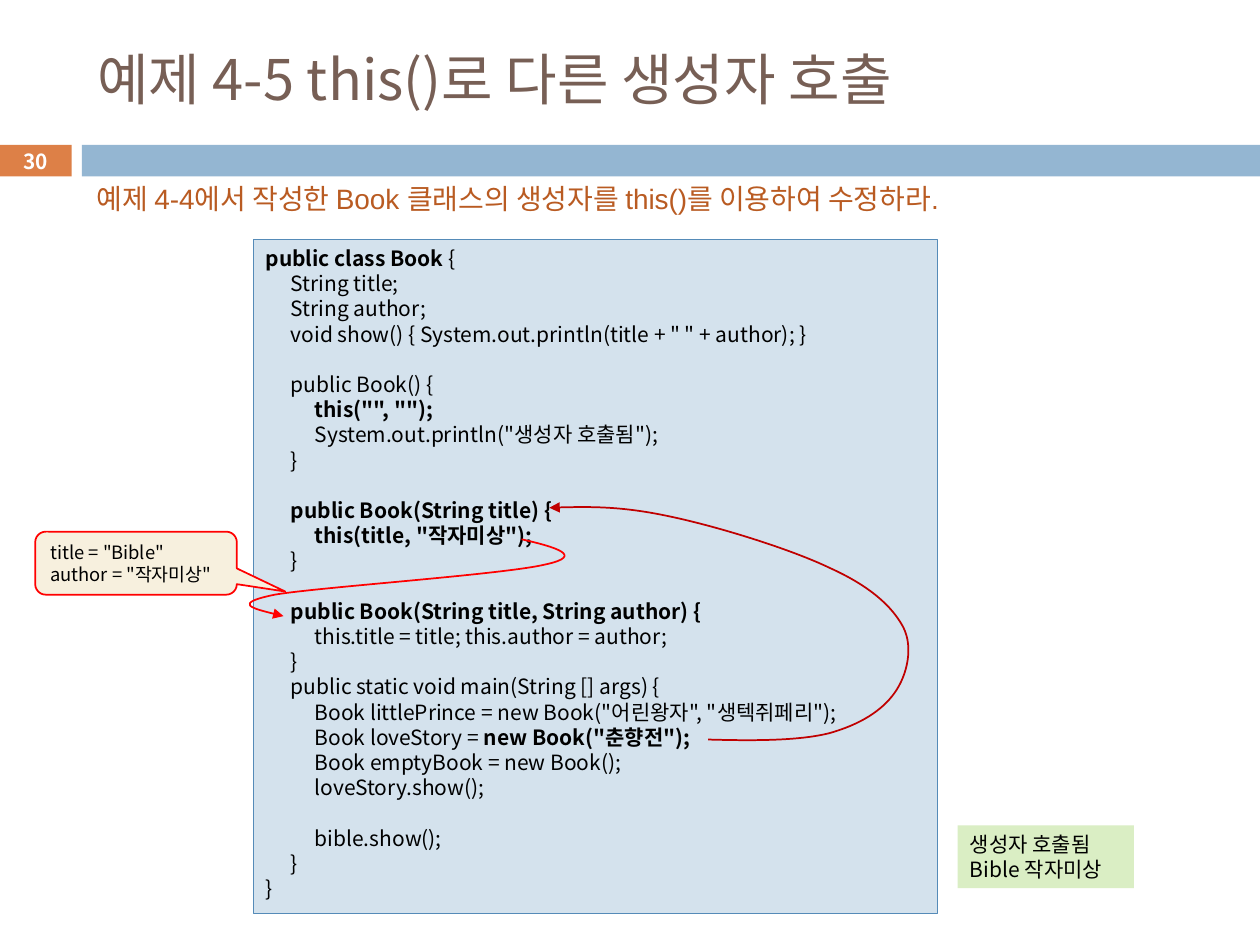
from lxml.etree import SubElement
from pptx import Presentation
from pptx.dml.color import RGBColor
from pptx.enum.shapes import MSO_SHAPE
from pptx.enum.text import MSO_ANCHOR, PP_ALIGN
from pptx.oxml.ns import qn
from pptx.util import Inches, Pt

SANS, ARIAL = "Noto Sans CJK KR", "Arial"
BLACK = RGBColor(0x00, 0x00, 0x00)
WHITE = RGBColor(0xFF, 0xFF, 0xFF)
BROWN = RGBColor(0x77, 0x5F, 0x55)
RUST = RGBColor(0xB9, 0x5B, 0x22)
ORANGE = RGBColor(0xDD, 0x80, 0x47)
BLUE = RGBColor(0x94, 0xB6, 0xD2)
PALE = RGBColor(0xD4, 0xE2, 0xED)
EDGE = RGBColor(0x55, 0x8B, 0xB8)
GREEN = RGBColor(0xDA, 0xEE, 0xC4)
CREAM = RGBColor(0xF7, 0xF0, 0xDE)
RED = RGBColor(0xFF, 0x00, 0x00)
DARK = RGBColor(0xC0, 0x00, 0x00)

TITLE = "예제 4-5 this()로 다른 생성자 호출"
TASK = "예제 4-4에서 작성한 Book 클래스의 생성자를 this()를 이용하여 수정하라."
OUTPUT = ["생성자 호출됨", "Bible 작자미상"]
VALUES = ['title = "Bible"', 'author = "작자미상"']
GAP = None
CODE = [
    (0, ("public class Book ", True), ("{", False)),
    (1, ("String title;", False)),
    (1, ("String author;", False)),
    (1, ('void show() { System.out.println(title + " " + author); }', False)),
    GAP,
    (1, ("public Book() {", False)),
    (2, ('this("", "");', True)),
    (2, ('System.out.println("생성자 호출됨");', False)),
    (1, ("}", False)),
    GAP,
    (1, ("public Book(String title) {", True)),
    (2, ('this(title, "작자미상");', True)),
    (1, ("}", False)),
    GAP,
    (1, ("public Book(String title, String author) {", True)),
    (2, ("this.title = title; this.author = author;", False)),
    (1, ("}", False)),
    (1, ("public static void main(String [] args) {", False)),
    (2, ('Book littlePrince = new Book("어린왕자", "생텍쥐페리");', False)),
    (2, ("Book loveStory = ", False), ('new Book("춘향전");', True)),
    (2, ("Book emptyBook = new Book();", False)),
    (2, ("loveStory.show();", False)),
    GAP,
    (2, ("bible.show();", False)),
    (1, ("}", False)),
    (0, ("}", False)),
]
TABS = [0.2, 0.39]
LEAD = 1.2
INNER = [(4.14, 4.28), (4.4, 4.34), (4.65, 4.41), (4.33, 4.48),
         (4, 4.56), (2.53, 4.66), (2.18, 4.72),
         (1.84, 4.79), (2.04, 4.84), (2.25, 4.89)]
OUTER = [(5.62, 5.87), (5.98, 5.88), (6.34, 5.88), (6.58, 5.82),
         (6.83, 5.75), (7, 5.64), (7.1, 5.5),
         (7.2, 5.36), (7.25, 5.14), (7.17, 4.98),
         (7.08, 4.81), (6.9, 4.65), (6.59, 4.51),
         (6.28, 4.36), (5.7, 4.18), (5.32, 4.1),
         (4.95, 4.02), (4.66, 4.02), (4.36, 4.03)]


def add_run(para, text, size, color=BLACK, bold=False, face=SANS):
    run = para.add_run()
    run.text = text
    font = run.font
    font.name, font.size, font.bold = face, Pt(size), bold
    font.color.rgb = color


def add_box(slide, area, fill, line=None, width=1, kind=MSO_SHAPE.RECTANGLE):
    box = slide.shapes.add_shape(kind, *map(Inches, area))
    box.shadow.inherit = False
    box.fill.solid()
    box.fill.fore_color.rgb = fill
    if line is None:
        box.line.fill.background()
    else:
        box.line.color.rgb = line
        box.line.width = Pt(width)
    return box


def write(shape, lines, size, color=BLACK, bold=False, face=SANS,
          align=PP_ALIGN.LEFT, anchor=MSO_ANCHOR.MIDDLE, wrap=True):
    frame = shape.text_frame
    frame.word_wrap = wrap
    frame.vertical_anchor = anchor
    for i, text in enumerate(lines):
        para = frame.add_paragraph() if i else frame.paragraphs[0]
        para.alignment = align
        para.line_spacing = Pt(size * LEAD)
        add_run(para, text, size, color, bold, face)


def write_code(shape, lines, size=12):
    frame = shape.text_frame
    frame.word_wrap = True
    frame.vertical_anchor = MSO_ANCHOR.TOP
    para, gap = frame.paragraphs[0], 0
    for i, line in enumerate(lines):
        if line is GAP:
            gap = size * LEAD
            continue
        if i:
            para = frame.add_paragraph()
        para.alignment = PP_ALIGN.LEFT
        para.line_spacing = Pt(size * LEAD)
        para.space_before = Pt(gap)
        gap = 0
        stops = SubElement(para._p.get_or_add_pPr(), qn("a:tabLst"))
        for stop in TABS:
            SubElement(stops, qn("a:tab"), pos=str(Inches(stop)), algn="l")
        depth, *parts = line
        if depth:
            add_run(para, "\t" * depth, size)
        for text, bold in parts:
            add_run(para, text, size, bold=bold)


def add_curve(slide, points, color):
    spots = [(Inches(x), Inches(y)) for x, y in points]
    pen = slide.shapes.build_freeform(*spots[0])
    pen.add_line_segments(spots[1:], close=False)
    curve = pen.convert_to_shape()
    curve.shadow.inherit = False
    curve.fill.background()
    curve.line.color.rgb = color
    curve.line.width = Pt(1)
    track = curve._element.find(".//" + qn("a:path"))
    for i, step in enumerate(track.findall(qn("a:lnTo"))):
        if i % 3 == 0:
            bend = SubElement(track, qn("a:cubicBezTo"))
        bend.append(step[0])
        track.remove(step)
    SubElement(curve.line._get_or_add_ln(), qn("a:tailEnd"), type="triangle")


def main():
    deck = Presentation()
    deck.slide_width, deck.slide_height = Inches(10), Inches(7.5)
    slide = deck.slides.add_slide(deck.slide_layouts[5])

    title = slide.shapes.title
    title.left, title.top = Inches(0.67), Inches(0.25)
    title.width, title.height = Inches(8.92), Inches(0.74)
    write(title, [TITLE], 32, BROWN)

    badge = add_box(slide, (0, 1.15, 0.57, 0.25), ORANGE)
    write(badge, ["30"], 11.9, WHITE, True, align=PP_ALIGN.CENTER)
    add_box(slide, (0.65, 1.15, 9.35, 0.25), BLUE)

    area = map(Inches, (0.67, 1.39, 8.56, 0.37))
    write(slide.shapes.add_textbox(*area), [TASK], 16, RUST, face=ARIAL)

    write_code(add_box(slide, (2.01, 1.9, 5.43, 5.35), PALE, EDGE, 0.75), CODE)
    write(add_box(slide, (7.6, 6.55, 1.4, 0.5), GREEN), OUTPUT, 12)

    add_curve(slide, INNER, RED)
    note = add_box(slide, (0.28, 4.22, 1.6, 0.5), CREAM, RED,
                   kind=MSO_SHAPE.ROUNDED_RECTANGULAR_CALLOUT)
    note.adjustments[0], note.adjustments[1] = 0.74, 0.45
    write(note, VALUES, 10.5, wrap=False)
    add_curve(slide, OUTER, DARK)

    deck.save("out.pptx")


if __name__ == "__main__":
    main()
